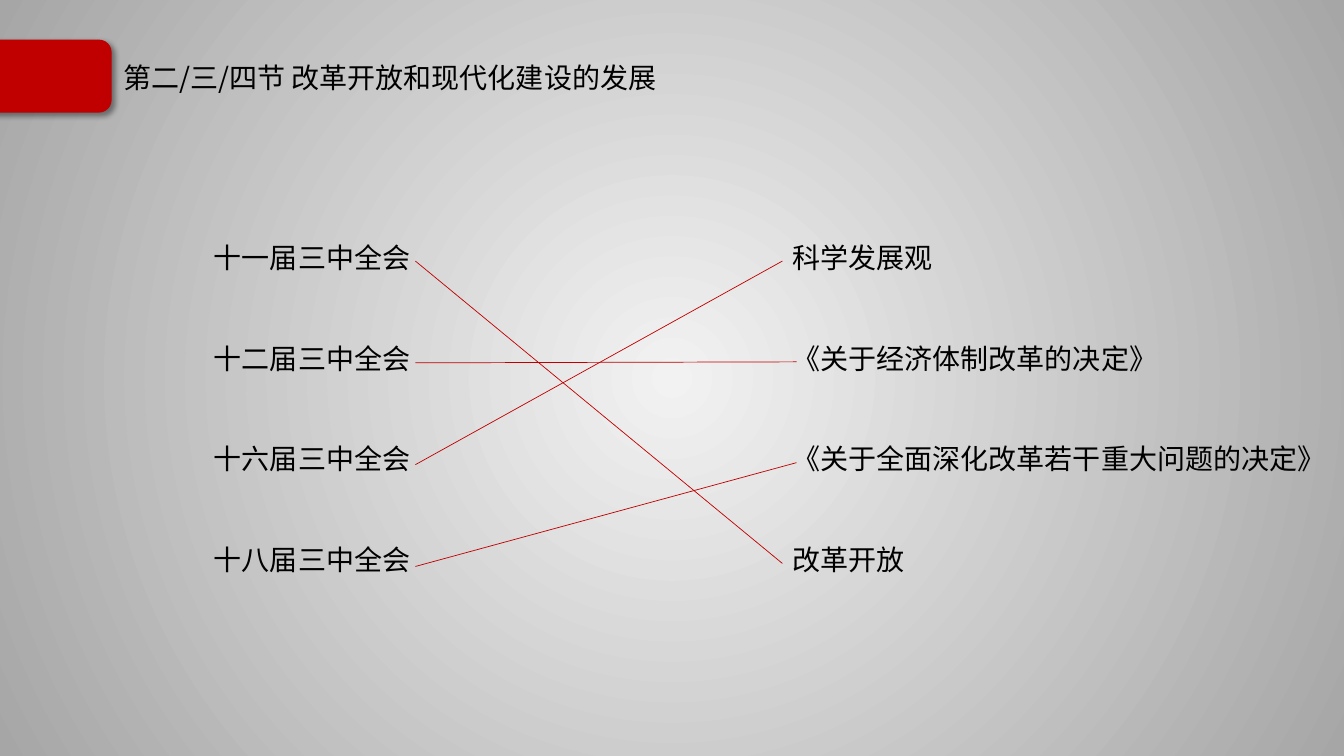
from dataclasses import dataclass
from lxml.etree import SubElement
from pptx import Presentation
from pptx.dml.color import RGBColor
from pptx.enum.shapes import MSO_CONNECTOR, MSO_SHAPE
from pptx.enum.text import MSO_ANCHOR, MSO_AUTO_SIZE, PP_ALIGN
from pptx.oxml.ns import qn
from pptx.shapes.base import BaseShape
from pptx.slide import Slide
from pptx.util import Inches, Pt

RED = RGBColor(0xC0, 0x00, 0x00)
BLACK = RGBColor(0x00, 0x00, 0x00)
LIGHT = RGBColor(0xF2, 0xF2, 0xF2)
GRAY = RGBColor(0xA6, 0xA6, 0xA6)
ROW_TOP, LEFT_STEP, RIGHT_STEP = 2.59, 1.01, 1.0
FRAME = {"word_wrap": True, "auto_size": MSO_AUTO_SIZE.NONE}


@dataclass
class Block:
    slot: int
    box: tuple[float, float, float, float]
    lines: list[str]
    face: str
    frame: dict
    para: dict


@dataclass
class Link:
    start: int
    end: int
    right: float


LIST_FRAME = FRAME | {"vertical_anchor": MSO_ANCHOR.TOP}
LIST_PARA = {"line_spacing": 1.0, "space_before": Pt(0), "space_after": Pt(47.8)}
BLOCKS = [
    Block(0, (1.12, 0.49, 11.15, 0.59), ["第二/三/四节 改革开放和现代化建设的发展"],
          "Noto Sans CJK JP", FRAME | {"vertical_anchor": MSO_ANCHOR.MIDDLE},
          {"line_spacing": 0.9, "alignment": PP_ALIGN.LEFT}),
    Block(1, (1.42, 2.34, 2.75, 3.47),
          ["十一届三中全会", "十二届三中全会", "十六届三中全会", "十八届三中全会"],
          "Noto Sans CJK SC", LIST_FRAME, LIST_PARA | {"alignment": PP_ALIGN.RIGHT}),
    Block(2, (7.76, 2.34, 8.21, 3.47),
          ["科学发展观", "《关于经济体制改革的决定》",
           "《关于全面深化改革若干重大问题的决定》", "改革开放"],
          "Noto Sans CJK SC", LIST_FRAME, LIST_PARA | {"alignment": PP_ALIGN.LEFT}),
]
LINKS = [Link(0, 3, 7.76), Link(1, 1, 7.9), Link(2, 0, 7.76), Link(3, 2, 7.9)]


def apply(item: object, values: dict) -> None:
    for name, value in values.items():
        setattr(item, name, value)


def paint(slide: Slide) -> None:
    fill = slide.background.fill
    fill.gradient()
    for stop, color, place in zip(fill.gradient_stops, (LIGHT, GRAY), (0, 1)):
        stop.color.rgb = color
        stop.position = place
    grad = slide.element.find(".//" + qn("a:gradFill"))
    for line in grad.findall(qn("a:lin")):
        grad.remove(line)
    circle = SubElement(grad, qn("a:path"), {"path": "circle"})
    SubElement(circle, qn("a:fillToRect"), dict.fromkeys("ltrb", "50000"))


def put(shape: BaseShape, box: tuple[float, float, float, float]) -> None:
    apply(shape, dict(zip(("left", "top", "width", "height"), map(Inches, box))))


def write(slide: Slide, block: Block) -> None:
    shape = slide.placeholders[block.slot]
    put(shape, block.box)
    frame = shape.text_frame
    apply(frame, block.frame)
    frame.text = "\n".join(block.lines)
    for para in frame.paragraphs:
        apply(para, block.para)
        props = para._p.get_or_add_pPr()
        props.set("marL", "0")
        props.set("indent", "0")
        SubElement(props, qn("a:buNone"))
        for run in para.runs:
            apply(run.font, {"name": block.face, "size": Pt(20), "bold": False})
            run.font.color.rgb = BLACK
            SubElement(run.font._element, qn("a:ea"), {"typeface": block.face})


def add_tab(slide: Slide) -> None:
    tab = slide.shapes.add_shape(
        MSO_SHAPE.ROUNDED_RECTANGLE, *map(Inches, (-0.18, 0.4, 1.28, 0.71)))
    tab.fill.solid()
    tab.fill.fore_color.rgb = RED
    tab.line.color.rgb = RED
    tab.line.width = Pt(1)
    tab.shadow.inherit = False
    effect = tab.element.spPr.find(qn("a:effectLst"))
    shade = SubElement(effect, qn("a:outerShdw"), {
        "blurRad": str(Pt(4)), "dist": str(Pt(3)), "dir": "2700000",
        "algn": "tl", "rotWithShape": "0"})
    color = SubElement(shade, qn("a:srgbClr"), {"val": str(BLACK)})
    SubElement(color, qn("a:alpha"), {"val": "40000"})


def join(slide: Slide, link: Link) -> None:
    ends = (4.12, ROW_TOP + link.start * LEFT_STEP,
            link.right, ROW_TOP + link.end * RIGHT_STEP)
    line = slide.shapes.add_connector(MSO_CONNECTOR.STRAIGHT, *map(Inches, ends))
    line.line.color.rgb = RED
    line.line.width = Pt(0.5)
    SubElement(line._element.spPr, qn("a:effectLst"))


def main() -> None:
    deck = Presentation()
    apply(deck, {"slide_width": Inches(13.33), "slide_height": Inches(7.5)})
    slide = deck.slides.add_slide(deck.slide_layouts[3])
    paint(slide)
    for block in BLOCKS:
        write(slide, block)
    add_tab(slide)
    for link in LINKS:
        join(slide, link)
    deck.save("out.pptx")


if __name__ == "__main__":
    main()
